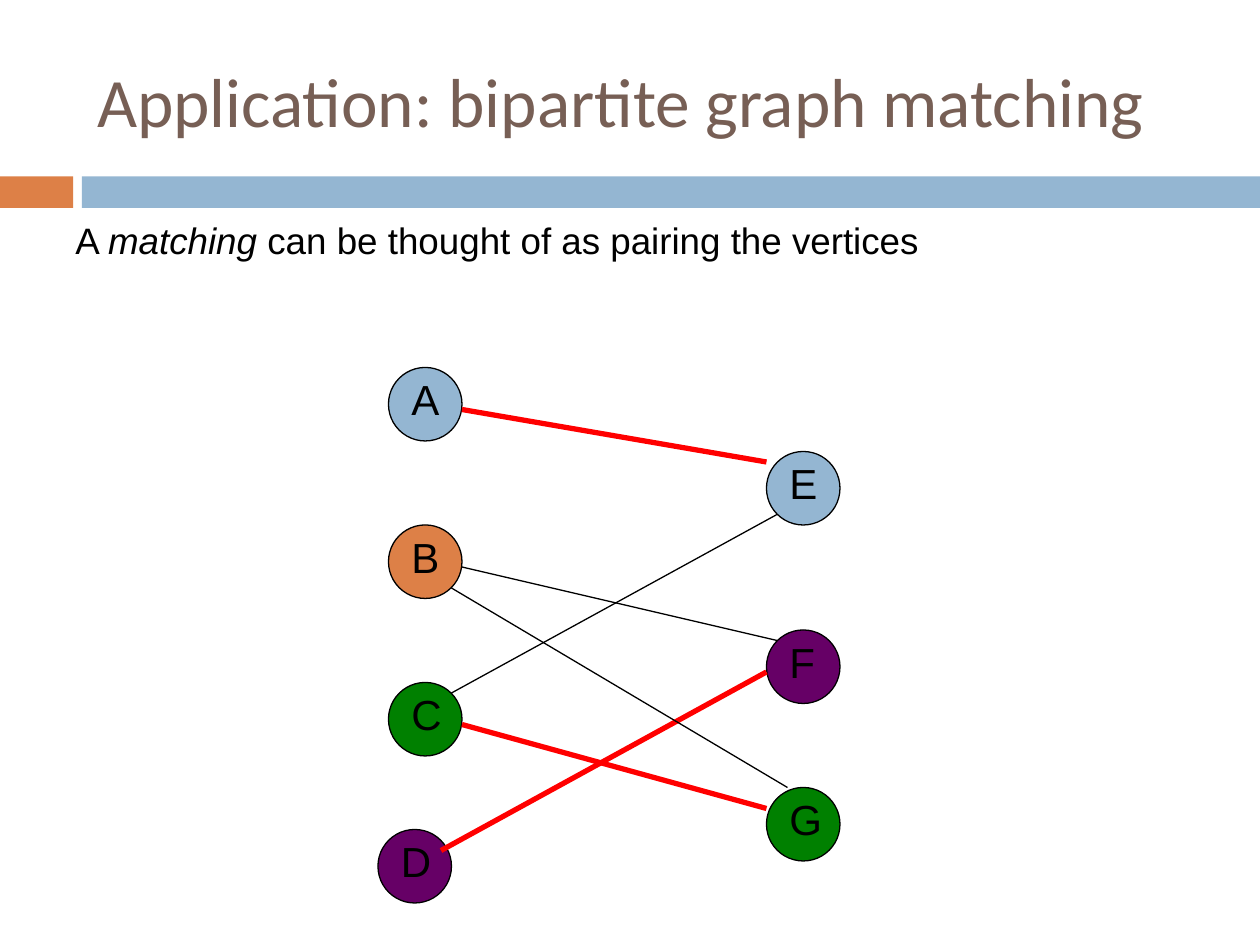
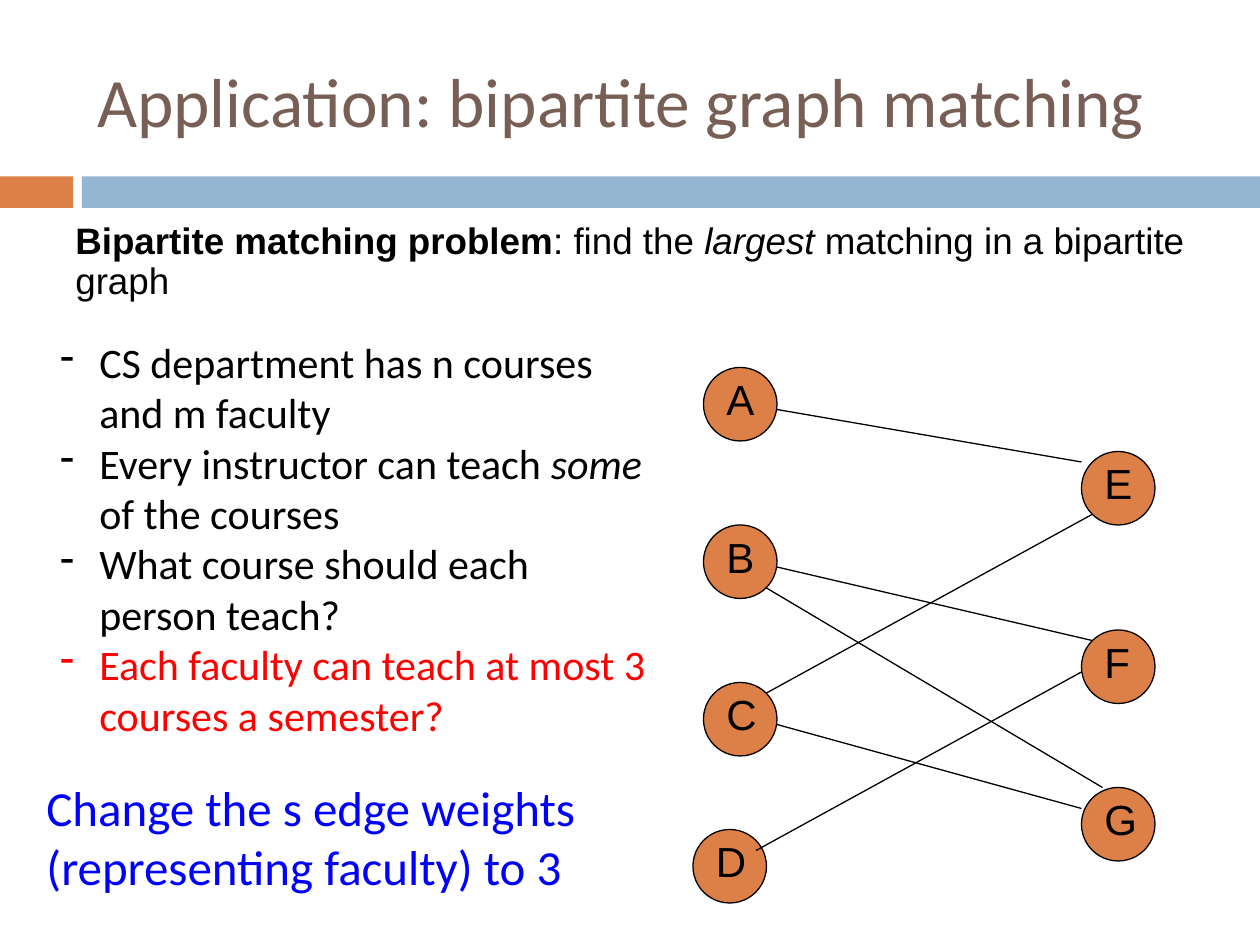
"""Build two slides on matching in bipartite graphs."""
from lxml.etree import SubElement
from pptx import Presentation
from pptx.dml.color import RGBColor
from pptx.enum.shapes import MSO_CONNECTOR, MSO_SHAPE
from pptx.enum.text import MSO_ANCHOR, MSO_AUTO_SIZE, PP_ALIGN
from pptx.oxml.ns import qn
from pptx.util import Inches, Pt

BLACK = RGBColor(0x00, 0x00, 0x00)
RED = RGBColor(0xFF, 0x00, 0x00)
BLUE = RGBColor(0x00, 0x00, 0xFF)
BROWN = RGBColor(0x77, 0x5F, 0x55)
SKY = RGBColor(0x94, 0xB6, 0xD2)
ORANGE = RGBColor(0xDD, 0x80, 0x47)
GREEN = RGBColor(0x00, 0x80, 0x00)
PURPLE = RGBColor(0x66, 0x00, 0x66)

TITLE = "Application: bipartite graph matching"
BANDS = [(0, 0.58, ORANGE), (0.65, 9.35, SKY)]
BAND_TOP, BAND_HEIGHT = 1.4, 0.25

GRID = 12
NODE_SIZE = 7
NODES = {"A": (37, 35), "B": (37, 50), "C": (37, 65), "E": (73, 43),
         "D": (36, 79), "F": (73, 60), "G": (73, 75)}
EDGES = {"DF": ((42, 81), (73, 64)), "CG": ((44, 69), (73, 77)),
         "CE": ((43, 66), (74, 49)), "BF": ((44, 54), (74, 61)),
         "AE": ((44, 39), (73, 44)), "BG": ((43, 56), (75, 75))}
PAIRS = {"AE": SKY, "CG": GREEN, "DF": PURPLE}

PLAIN, ITALIC, BOLD = {}, {"italic": True}, {"bold": True}
STATEMENT_AREA = (0.5, 1.72, 9, 1.08)
STATEMENT_FONT = {"name": "Arial", "size": Pt(21)}
LABEL_FONT = {"name": "Arial", "size": Pt(24)}
COURSE_FONT = {"name": "Calibri", "size": Pt(24)}
ANSWER_FONT = {"name": "Calibri", "size": Pt(28)}

MATCHING = [("A ", PLAIN), ("matching ", ITALIC),
            ("can be thought of as pairing the vertices", PLAIN)]
PROBLEM = [("Bipartite matching problem", BOLD), (": find the ", PLAIN),
           ("largest", ITALIC), (" matching in a bipartite graph", PLAIN)]
COURSES = [
    [("CS department has n courses and m faculty", PLAIN)],
    [("Every instructor can teach ", PLAIN), ("some", ITALIC), (" of the courses", PLAIN)],
    [("What course should each person teach?", PLAIN)],
    [("Each faculty can teach at most 3 courses a semester?", {"color": RED})],
]
ANSWER = [[("Change the s edge weights (representing faculty) to 3", {"color": BLUE})]]


def style(font, values):
    for key, value in values.items():
        if key == "color":
            font.color.rgb = value
        else:
            setattr(font, key, value)


def add_bullet(para):
    props = para._p.get_or_add_pPr()
    props.set("marL", str(Inches(0.31)))
    props.set("indent", str(-Inches(0.31)))
    SubElement(props, qn("a:buChar")).set("char", "-")


def add_text(shapes, area, paragraphs, font, bullets=False, **spacing):
    box = shapes.add_textbox(*map(Inches, area))
    frame = box.text_frame
    frame.word_wrap = True
    for index, spans in enumerate(paragraphs):
        para = frame.add_paragraph() if index else frame.paragraphs[0]
        if bullets:
            add_bullet(para)
        for key, value in spacing.items():
            setattr(para, key, value)
        for text, changes in spans:
            span = para.add_run()
            span.text = text
            style(span.font, {"color": BLACK, **font, **changes})


def add_solid(shapes, kind, area, color, outline=None):
    shape = shapes.add_shape(kind, *map(Inches, area))
    shape.shadow.inherit = False
    shape.fill.solid()
    shape.fill.fore_color.rgb = color
    if outline is None:
        shape.line.fill.background()
    else:
        shape.line.color.rgb = outline
        shape.line.width = Pt(0.75)


def add_page(deck, statement):
    page = deck.slides.add_slide(deck.slide_layouts[5])
    for left, width, color in BANDS:
        add_solid(page.shapes, MSO_SHAPE.RECTANGLE, (left, BAND_TOP, width, BAND_HEIGHT), color)
    title = page.shapes.title
    for key, value in zip(("left", "top", "width", "height"), (0.67, 0.25, 8.92, 1.08)):
        setattr(title, key, Inches(value))
    frame = title.text_frame
    frame.text = TITLE
    frame.auto_size = MSO_AUTO_SIZE.NONE
    frame.vertical_anchor = MSO_ANCHOR.MIDDLE
    para = frame.paragraphs[0]
    para.alignment = PP_ALIGN.LEFT
    style(para.runs[0].font, {"name": "Calibri", "size": Pt(39.6), "color": BROWN})
    add_text(page.shapes, STATEMENT_AREA, [statement], STATEMENT_FONT, line_spacing=0.9)
    return page


def add_graph(page, shift=0, pairs=None):
    pairs = pairs or {}
    node_colors = {name: color for pair, color in pairs.items() for name in pair}
    for name, (column, row) in NODES.items():
        left, top, size = (column + shift) / GRID, row / GRID, NODE_SIZE / GRID
        group = page.shapes.add_group_shape()
        add_solid(group.shapes, MSO_SHAPE.OVAL, (left, top, size, size),
                  node_colors.get(name, ORANGE), BLACK)
        add_text(group.shapes, (left + 1 / GRID, top, 0.5, 0.5), [[(name, PLAIN)]], LABEL_FONT)
    for pair, ends in EDGES.items():
        points = [Inches(value / GRID) for column, row in ends for value in (column + shift, row)]
        edge = page.shapes.add_connector(MSO_CONNECTOR.STRAIGHT, *points)
        edge.line.color.rgb = RED if pair in pairs else BLACK
        edge.line.width = Pt(3 if pair in pairs else 0.75)
        SubElement(edge._element.spPr, qn("a:effectLst"))


def main():
    deck = Presentation()
    deck.slide_width, deck.slide_height = Inches(10), Inches(7.5)
    add_graph(add_page(deck, MATCHING), pairs=PAIRS)
    page = add_page(deck, PROBLEM)
    add_graph(page, shift=30)
    add_text(page.shapes, (0.38, 2.62, 4.87, 3.33), COURSES, COURSE_FONT, bullets=True)
    add_text(page.shapes, (0.27, 6.12, 4.62, 1.04), ANSWER, ANSWER_FONT)
    deck.save("out.pptx")


if __name__ == "__main__":
    main()
